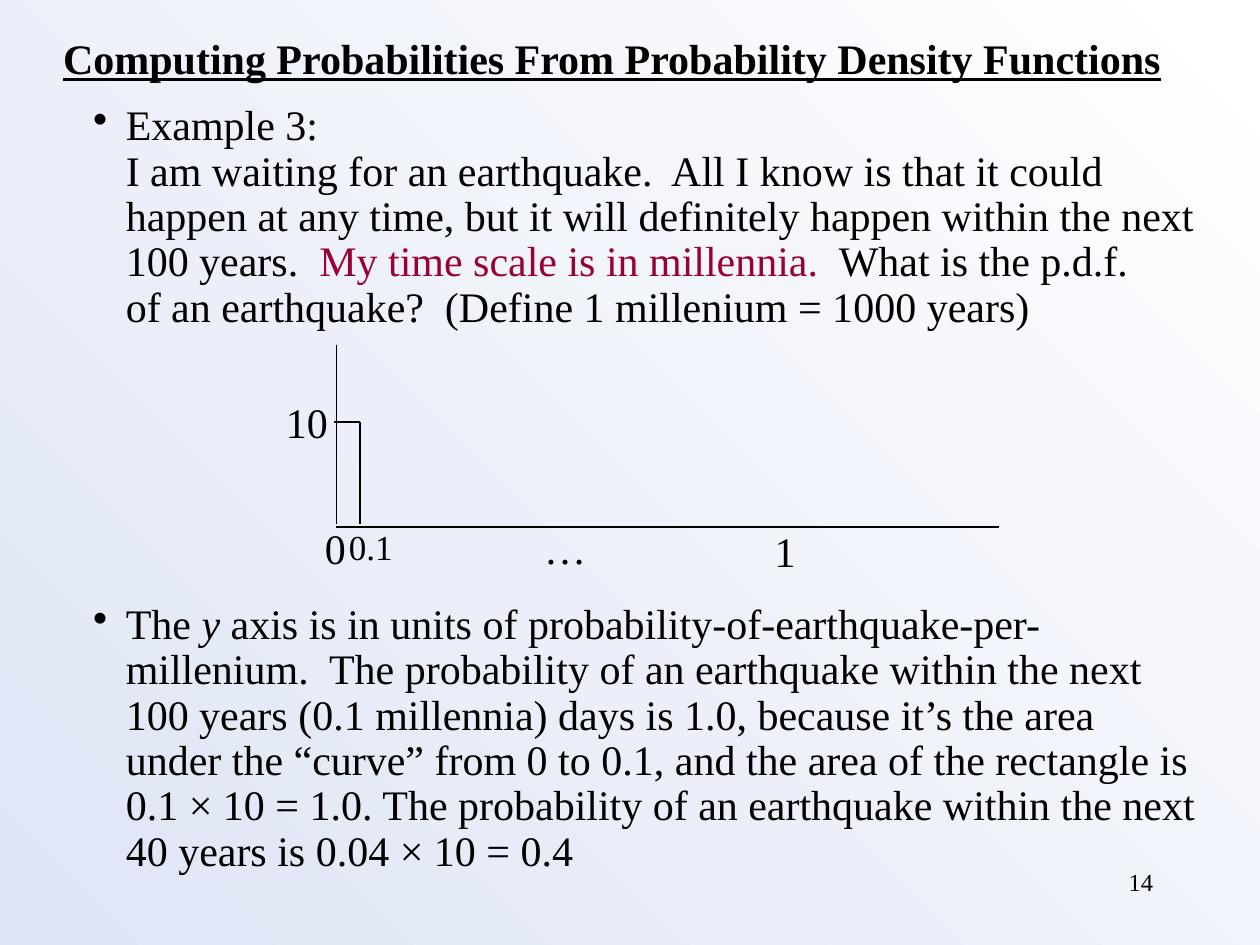
from lxml.etree import SubElement
from pptx import Presentation
from pptx.dml.color import RGBColor
from pptx.enum.shapes import MSO_CONNECTOR
from pptx.enum.text import MSO_ANCHOR, PP_ALIGN
from pptx.oxml.ns import qn
from pptx.util import Inches, Pt

COLOURS = {"ink": "000000", "accent": "990033", "light": "FFFFFF", "shade": "DFE5F5"}
FONT = "Times New Roman"
INDENT = 0.26
PLOT_GAP = 155.5  # points left between the bullets for the plot

EXAMPLE = [
    ("Example 3:\vI am waiting for an earthquake.  All I know is that it could "
     "happen at any time, but it will definitely happen within the next 100 years.  ", {}),
    ("My time scale is in millennia. ", {"colour": "accent"}),
    (" What is the p.d.f.\vof an earthquake?  (Define 1 millenium = 1000 years)", {}),
]
ANSWER = [
    ("The ", {}),
    ("y", {"italic": True}),
    (" axis is in units of probability-of-earthquake-per-millenium.  The probability "
     "of an earthquake within the next 100 years (0.1 millennia) days is 1.0, because "
     "it’s the area under the “curve” from 0 to 0.1, and the area of the rectangle is "
     "0.1 × 10 = 1.0. The probability of an earthquake within the next 40 years is "
     "0.04 × 10 = 0.4", {}),
]


def style(span, size=24, colour="ink", bold=False, italic=False, underline=False):
    font = span.font
    font.name, font.size = FONT, Pt(size)
    font.bold, font.italic, font.underline = bold, italic, underline
    font.color.rgb = RGBColor.from_string(COLOURS[colour])


def add_label(page, text, box, size=24, wrap=False, align=PP_ALIGN.LEFT):
    frame = page.shapes.add_textbox(*map(Inches, box)).text_frame
    frame.word_wrap = wrap
    frame.text = text
    para = frame.paragraphs[0]
    para.alignment = align
    style(para.runs[0], size)


def add_line(page, start, end):
    line = page.shapes.add_connector(
        MSO_CONNECTOR.STRAIGHT, *map(Inches, (*start, *end)))
    line.line.color.rgb = RGBColor.from_string(COLOURS["ink"])
    line.line.width = Pt(1)
    SubElement(line._element.spPr, qn("a:effectLst"))


def paint_background(page):
    fill = page.background.fill
    fill.gradient()
    fill.gradient_angle = 225
    for stop, name in zip(fill.gradient_stops, ("light", "shade")):
        stop.color.rgb = RGBColor.from_string(COLOURS[name])


def place_title(page, text, box):
    title = page.shapes.title
    title.left, title.top, title.width, title.height = map(Inches, box)
    frame = title.text_frame
    frame.text = text
    frame.word_wrap = False
    frame.vertical_anchor = MSO_ANCHOR.TOP
    para = frame.paragraphs[0]
    para.alignment = PP_ALIGN.LEFT
    style(para.runs[0], bold=True, underline=True)


def add_bullet(para):
    properties = para._p.get_or_add_pPr()
    properties.set("marL", str(Inches(INDENT)))
    properties.set("indent", str(-Inches(INDENT)))
    colour = SubElement(properties, qn("a:buClr"))
    SubElement(colour, qn("a:srgbClr")).set("val", COLOURS["ink"])
    SubElement(properties, qn("a:buChar")).set("char", "•")


def add_body(page, items, box):
    frame = page.shapes.add_textbox(*map(Inches, box)).text_frame
    frame.word_wrap = True
    for index, spans in enumerate(items):
        para = frame.add_paragraph() if index else frame.paragraphs[0]
        add_bullet(para)
        para.line_spacing = 0.9
        if index:
            para.space_before = Pt(PLOT_GAP)
        for text, look in spans:
            for part, line in enumerate(text.split("\v")):
                if part:
                    para.add_line_break()
                span = para.add_run()
                span.text = line
                style(span, **look)


def add_density_plot(page, box):
    """Draw the axes, the narrow rectangle of the density and the axis labels."""
    left, top, width, height = box
    base, peak, edge = top + height, top + 0.61, left + 0.19
    foot = base - 0.02
    add_line(page, (left, base), (left + width, base))
    add_line(page, (left, foot), (left, top))
    add_line(page, (left - 0.02, peak), (edge, peak))
    add_line(page, (edge, peak), (edge, foot))

    below = base - 0.08
    add_label(page, "0", (left - 0.19, below, 0.36, 0.5))
    add_label(page, "0.1", (left, below + 0.02, 0.55, 0.44), size=20)
    add_label(page, "…", (left + 1.55, below, 0.53, 0.5))
    add_label(page, "1", (left + 3.38, below + 0.02, 0.36, 0.5))
    add_label(page, "10", (left - 0.5, peak - 0.25, 0.53, 0.5))


def main():
    deck = Presentation()
    deck.slide_width, deck.slide_height = Inches(10), Inches(7.5)
    page = deck.slides.add_slide(deck.slide_layouts[5])
    paint_background(page)
    place_title(page, "Computing Probabilities From Probability Density Functions",
                (0.4, 0.21, 8.93, 0.5))
    add_body(page, [EXAMPLE, ANSWER], (0.64, 0.78, 8.97, 6.27))
    add_density_plot(page, (2.67, 2.74, 5.26, 1.44))
    add_label(page, "14", (7.17, 6.83, 2.08, 0.5), size=14, wrap=True,
              align=PP_ALIGN.RIGHT)
    deck.save("out.pptx")


if __name__ == "__main__":
    main()
